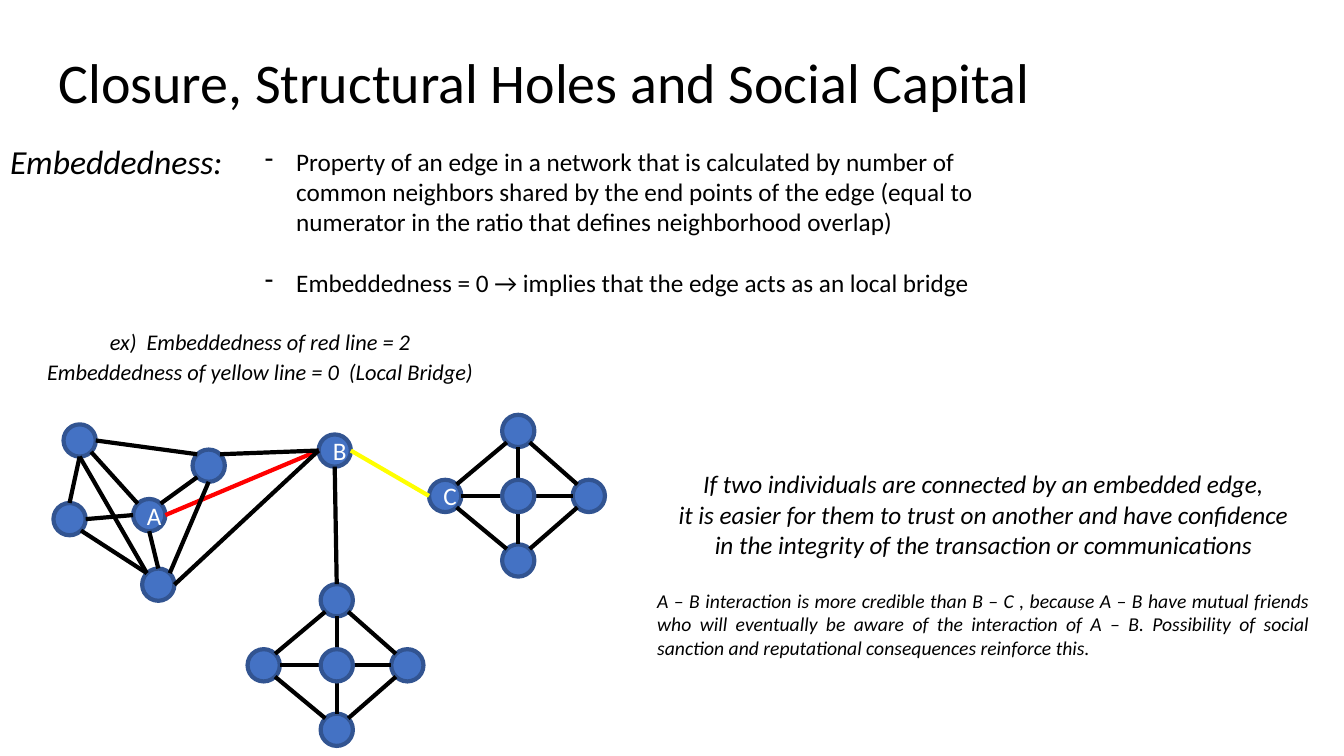
from lxml.etree import SubElement
from pptx import Presentation
from pptx.dml.color import RGBColor
from pptx.enum.shapes import MSO_CONNECTOR, MSO_SHAPE
from pptx.enum.text import MSO_ANCHOR, MSO_AUTO_SIZE, PP_ALIGN
from pptx.oxml.ns import qn
from pptx.util import Inches, Pt

BLACK = RGBColor(0x00, 0x00, 0x00)
WHITE = RGBColor(0xFF, 0xFF, 0xFF)
RED = RGBColor(0xFF, 0x00, 0x00)
YELLOW = RGBColor(0xFF, 0xFF, 0x00)
NODE_FILL = RGBColor(0x44, 0x72, 0xC4)
NODE_LINE = RGBColor(0x32, 0x54, 0x91)

CELL = Inches(0.1)  # grid of 133.3 columns by 75 rows
RADIUS = 1.6
DIAGONAL = 0.71
SIDES = {
    "N": (0, -1), "S": (0, 1), "W": (-1, 0), "E": (1, 0),
    "NW": (-DIAGONAL, -DIAGONAL), "NE": (DIAGONAL, -DIAGONAL),
    "SW": (-DIAGONAL, DIAGONAL), "SE": (DIAGONAL, DIAGONAL),
}

FRIENDS = {
    "corner": (7.9, 4.37 * 10, ""),
    "west": (6.9, 51.5, ""),
    "south": (15.7, 58, ""),
    "hub": (20.7, 46.2, ""),
    "A": (14.8, 51.1, "A"),
    "B": (33.2, 44.7, "B"),
}
FRIEND_EDGES = [
    ("west", "E", "A", "W", BLACK), ("west", "SE", "south", "NW", BLACK),
    ("hub", "NW", "corner", "E", BLACK), ("hub", "SW", "A", "NE", BLACK),
    ("B", "W", "A", "E", RED), ("west", "N", "corner", "S", BLACK),
    ("A", "S", "south", "N", BLACK), ("B", "W", "hub", "NE", BLACK),
    ("hub", "S", "south", "NE", BLACK), ("corner", "SE", "A", "NW", BLACK),
    ("corner", "S", "south", "NW", BLACK), ("B", "W", "south", "E", BLACK),
]
DIAMOND_ARMS = {"top": (0, -6.45), "bottom": (0, 6.4), "left": (-7.25, 0), "right": (7, 0)}
DIAMOND_EDGES = [
    ("left", "E", "right", "W"), ("top", "S", "bottom", "N"),
    ("left", "SE", "bottom", "NW"), ("right", "NW", "top", "SE"),
    ("left", "NE", "top", "SW"), ("bottom", "NE", "right", "SW"),
]


def cells(*counts):
    return [int(count * CELL) for count in counts]


def apply(target, formats):
    for name, value in formats.items():
        setattr(target, name, value)


def write(para, text, size, italic=False, color=BLACK, **formats):
    apply(para, formats)
    span = para.add_run()
    span.text = text
    apply(span.font, {"name": "Calibri", "size": Pt(size), "italic": italic, "bold": False})
    span.font.color.rgb = color


def fill_frame(frame, lines, **formats):
    """Write one paragraph for each dict of write() arguments."""
    apply(frame, {"word_wrap": True, "auto_size": MSO_AUTO_SIZE.NONE, **formats})
    for index, line in enumerate(lines):
        write(frame.add_paragraph() if index else frame.paragraphs[0], **line)


def place(shape, left, top, width, height):
    apply(shape, dict(zip(("left", "top", "width", "height"), cells(left, top, width, height))))


def set_bullet(para, mark, indent):
    properties = para._p.get_or_add_pPr()
    properties.set("marL", str(indent))
    properties.set("indent", str(-indent))
    SubElement(properties, qn("a:buChar" if mark else "a:buNone"), {"char": mark} if mark else {})


def add_node(page, x, y, label=""):
    circle = page.shapes.add_shape(
        MSO_SHAPE.OVAL, *cells(x - RADIUS, y - RADIUS, 2 * RADIUS, 2 * RADIUS))
    circle.shadow.inherit = False
    circle.fill.solid()
    circle.fill.fore_color.rgb = NODE_FILL
    circle.line.color.rgb = NODE_LINE
    circle.line.width = Pt(3)
    if label:
        fill_frame(circle.text_frame,
                   [dict(text=label, size=18, color=WHITE, alignment=PP_ALIGN.CENTER)],
                   word_wrap=False, vertical_anchor=MSO_ANCHOR.MIDDLE,
                   margin_left=CELL, margin_right=0)
    return x, y


def add_edge(page, start, start_side, end, end_side, color=BLACK):
    """Join two node centres with a line between the named sides."""
    points = []
    for (x, y), side in ((start, start_side), (end, end_side)):
        across, down = SIDES[side]
        points += cells(x + RADIUS * across, y + RADIUS * down)
    line = page.shapes.add_connector(MSO_CONNECTOR.STRAIGHT, *points)
    line.line.color.rgb = color
    line.line.width = Pt(3)
    SubElement(line._element.spPr, qn("a:effectLst"))


def add_diamond(page, x, y, left_label=""):
    """Draw a centre node with four linked neighbours and return those."""
    arms = {name: add_node(page, x + across, y + down, left_label if name == "left" else "")
            for name, (across, down) in DIAMOND_ARMS.items()}
    for start, start_side, end, end_side in DIAMOND_EDGES:
        add_edge(page, arms[start], start_side, arms[end], end_side)
    add_node(page, x, y)
    return arms


def add_network(page):
    friends = {name: add_node(page, *node) for name, node in FRIENDS.items()}
    for start, start_side, end, end_side, color in FRIEND_EDGES:
        add_edge(page, friends[start], start_side, friends[end], end_side, color)
    right = add_diamond(page, 51.4, 49.2, "C")
    lower = add_diamond(page, 33.4, 66)
    add_edge(page, friends["B"], "E", right["left"], "W", YELLOW)
    add_edge(page, lower["top"], "N", friends["B"], "S")


def add_heading(page):
    place(page.shapes.title, 4.8, 1.1, 110.4, 14.7)
    fill_frame(page.shapes.title.text_frame,
               [dict(text="Closure, Structural Holes and Social Capital", size=40,
                     alignment=PP_ALIGN.LEFT, line_spacing=0.9)],
               vertical_anchor=MSO_ANCHOR.MIDDLE)


def add_example(page):
    body = page.placeholders[1]
    place(body, 0, 13.9, 51.6, 26.5)
    example = dict(size=16, italic=True, line_spacing=0.9, alignment=PP_ALIGN.CENTER)
    fill_frame(body.text_frame, [
        dict(text="Embeddedness:", size=24, italic=True, line_spacing=0.9, space_before=Pt(0)),
        dict(text="ex)  Embeddedness of red line = 2", space_before=Pt(107), **example),
        dict(text="Embeddedness of yellow line = 0  (Local Bridge)", space_before=Pt(4), **example),
    ])
    for para in body.text_frame.paragraphs:
        set_bullet(para, "", 0)


def add_definition(page):
    box = page.shapes.add_textbox(*cells(25.3, 14, 77.7, 19.2))
    fill_frame(box.text_frame, [
        dict(text="Property of an edge in a network that is calculated by number of common "
                  "neighbors shared by the end points of the edge (equal to numerator in the "
                  "ratio that defines neighborhood overlap)", size=18),
        dict(text="Embeddedness = 0 → implies that the edge acts as an local bridge",
             size=18, space_before=Pt(22)),
    ])
    for para in box.text_frame.paragraphs:
        set_bullet(para, "-", Inches(0.31))


def add_conclusion(page):
    box = page.shapes.add_textbox(*cells(64.2, 46, 66.7, 20))
    statement = ("If two individuals are connected by an embedded edge,",
                 "it is easier for them to trust on another and have confidence",
                 "in the integrity of the transaction or communications")
    lines = [dict(text=text, size=18, italic=True, alignment=PP_ALIGN.CENTER)
             for text in statement]
    lines.append(dict(
        text="A – B interaction is more credible than B – C , because A – B have mutual friends "
             "who will eventually be aware of the interaction of A – B. Possibility of social "
             "sanction and reputational consequences reinforce this.",
        size=14, italic=True, alignment=PP_ALIGN.JUSTIFY, space_before=Pt(21)))
    fill_frame(box.text_frame, lines)


def main():
    deck = Presentation()
    deck.slide_width, deck.slide_height = Inches(13.33), Inches(7.5)
    page = deck.slides.add_slide(deck.slide_layouts[1])
    add_heading(page)
    add_example(page)
    add_conclusion(page)
    add_network(page)
    add_definition(page)
    deck.save("out.pptx")


if __name__ == "__main__":
    main()
